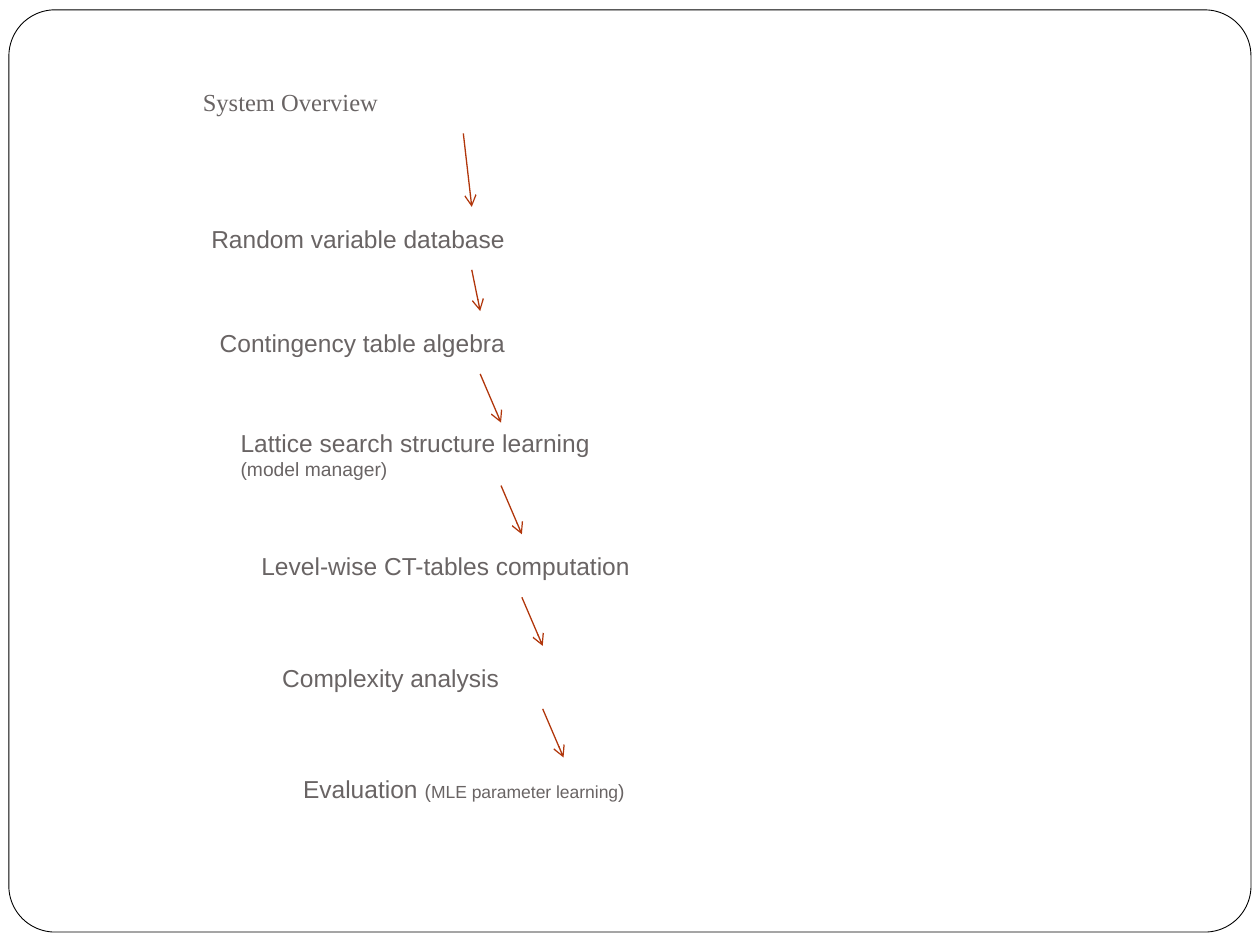
"""Build the System Overview slide: a staircase of steps joined by arrows."""
import dataclasses

import lxml.etree
import pptx
import pptx.dml.color
import pptx.enum.shapes
import pptx.enum.text
import pptx.oxml.ns
import pptx.util

Cm = pptx.util.Cm
Pt = pptx.util.Pt
RGB = pptx.dml.color.RGBColor.from_string
qn = pptx.oxml.ns.qn


@dataclasses.dataclass(frozen=True)
class Theme:
    paper: str = "FFFFFF"
    frame: str = "000000"
    text: str = "696464"
    arrow: str = "B1360B"
    title: str = "Times New Roman"
    body: str = "Arial"
    big: int = 14
    small: int = 11
    tiny: int = 10


theme = Theme()
big, small, tiny = theme.big, theme.small, theme.tiny
wide, high = 11, 1.27
steps = [
    (3.84, 1.42, [[("System Overview", big)]]),
    (4.01, 4.17, [[("Random variable database", big)]]),
    (4.18, 6.27, [[("Contingency table algebra", big)]]),
    (4.6, 8.52, [[("Lattice search structure learning", big)],
                 [("(model manager)", small)]]),
    (5.02, 10.77, [[("Level-wise CT-tables computation", big)]]),
    (5.44, 13.02, [[("Complexity analysis", big)]]),
    (5.86, 15.27, [[("Evaluation ", big), ("(", small),
                    ("MLE parameter learning", tiny), (")", small)]]),
]

deck = pptx.Presentation()
deck.slide_width, deck.slide_height = Cm(25.4), Cm(19.05)
slide = deck.slides.add_slide(deck.slide_layouts[6])
shapes = slide.shapes

frame = shapes.add_shape(
    pptx.enum.shapes.MSO_SHAPE.ROUNDED_RECTANGLE,
    Cm(0.18), Cm(0.2), Cm(25.04), Cm(18.59))
frame.adjustments[0] = 0.05
frame.shadow.inherit = False
frame.fill.solid()
frame.fill.fore_color.rgb = RGB(theme.paper)
frame.line.color.rgb = RGB(theme.frame)
frame.line.width = Pt(0.5)

for step, (left, top, lines) in enumerate(steps):
    box = shapes.add_textbox(Cm(left), Cm(top), Cm(wide), Cm(high)).text_frame
    box.word_wrap = True
    box.vertical_anchor = pptx.enum.text.MSO_ANCHOR.MIDDLE
    for row, line in enumerate(lines):
        para = box.add_paragraph() if row else box.paragraphs[0]
        para.font.name = theme.body if step else theme.title
        para.font.color.rgb = RGB(theme.text)
        para.font.size = Pt(line[0][1])
        for words, size in line:
            run = para.add_run()
            run.text = words
            if size != line[0][1]:
                run.font.size = Pt(size)

for (left, top, _), (right, low, _) in zip(steps, steps[1:]):
    arrow = shapes.add_connector(
        pptx.enum.shapes.MSO_CONNECTOR.STRAIGHT,
        Cm(left + wide / 2), Cm(top + high), Cm(right + wide / 2), Cm(low))
    arrow.line.color.rgb = RGB(theme.arrow)
    arrow.line.width = Pt(0.75)
    stroke = arrow.line._get_or_add_ln()
    lxml.etree.SubElement(stroke, qn("a:tailEnd"), type="arrow")
    lxml.etree.SubElement(stroke.getparent(), qn("a:effectLst"))

deck.save("out.pptx")
